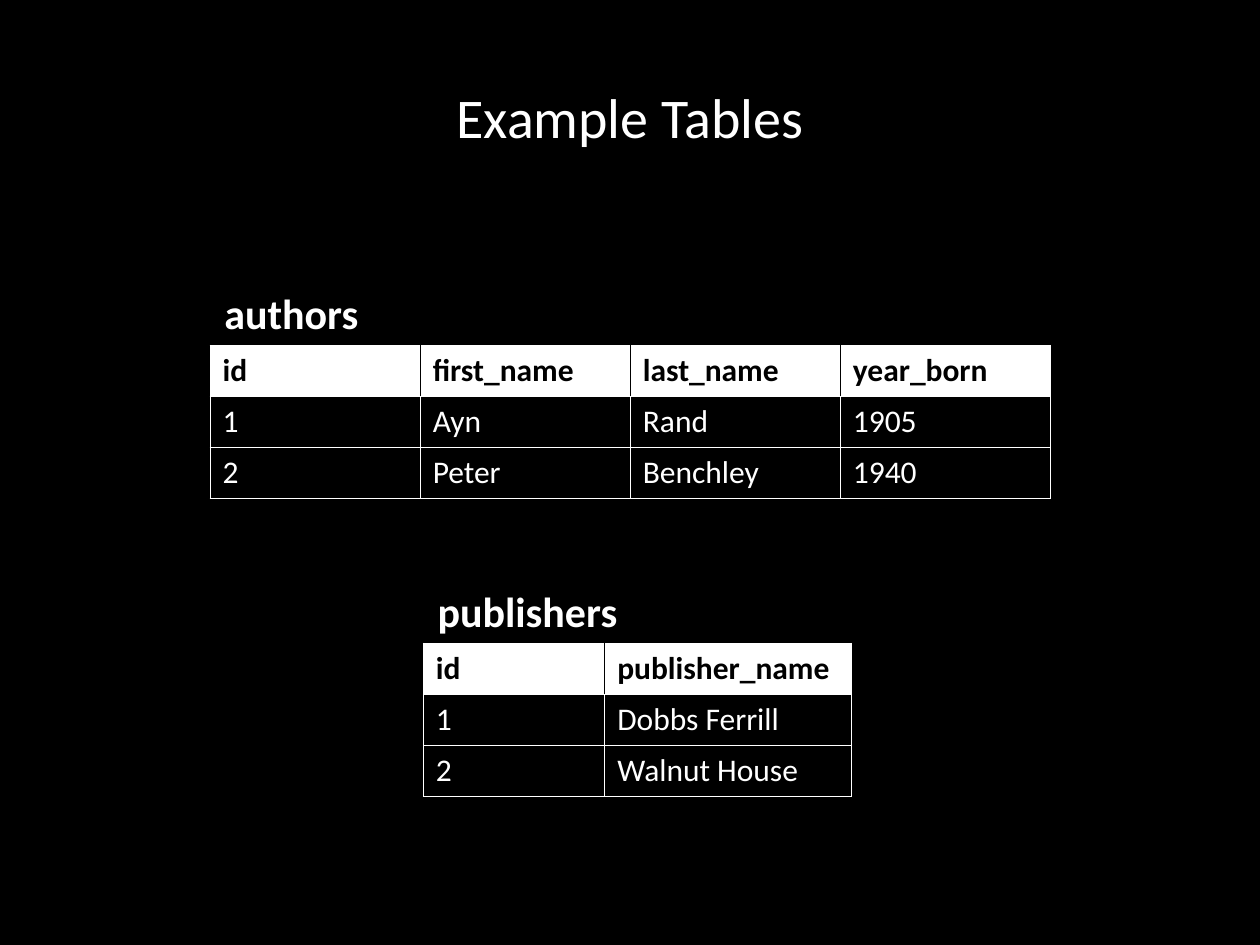
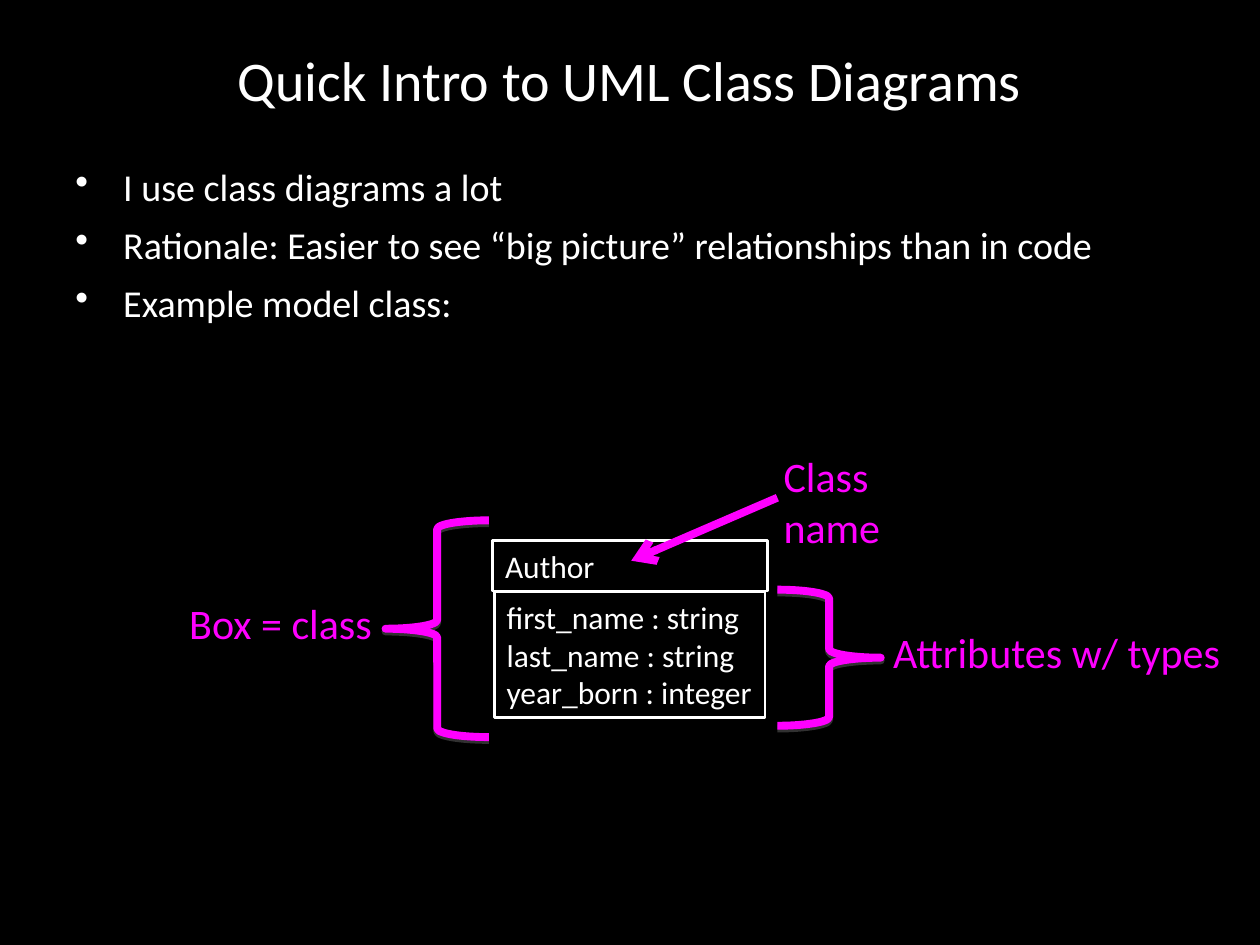
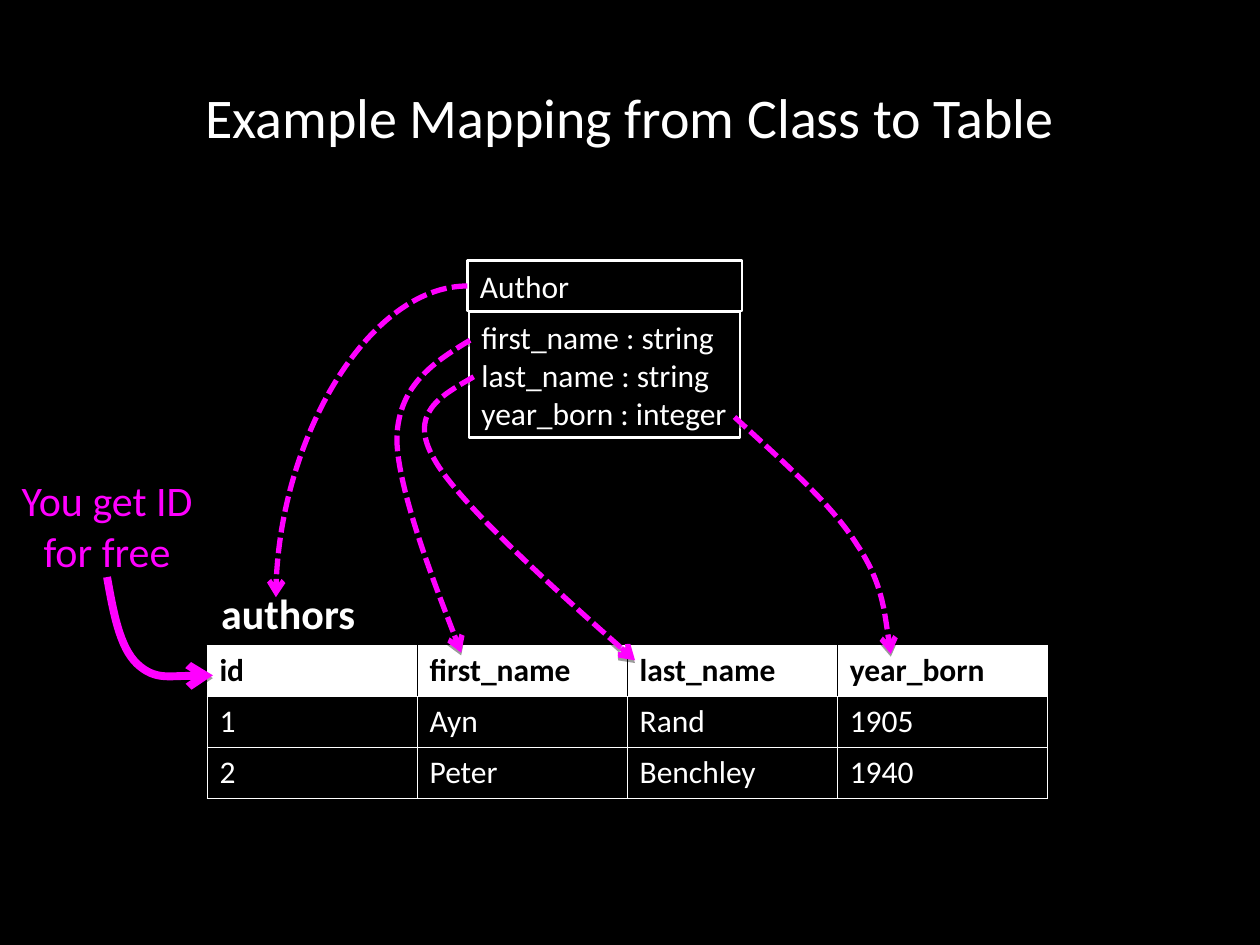
from typing import NamedTuple

from lxml.etree import SubElement
from pptx import Presentation
from pptx.dml.color import RGBColor
from pptx.enum.dml import MSO_LINE
from pptx.enum.shapes import MSO_CONNECTOR, MSO_SHAPE
from pptx.enum.text import MSO_ANCHOR, PP_ALIGN
from pptx.oxml.ns import qn
from pptx.util import Emu, Inches, Pt

BLACK = RGBColor(0x00, 0x00, 0x00)
WHITE = RGBColor(0xFF, 0xFF, 0xFF)
GRAY = RGBColor(0x80, 0x80, 0x80)
MAGENTA = RGBColor(0xFF, 0x00, 0xFF)
FONT = "Calibri"

# The slide is a grid of 40 columns by 30 rows of square cells.
COLUMNS, ROWS = 40, 30
CELL = Inches(0.25)
TABLE_ROW = 1.62

AUTHORS = [
    ["id", "first_name", "last_name", "year_born"],
    ["1", "Ayn", "Rand", "1905"],
    ["2", "Peter", "Benchley", "1940"],
]
PUBLISHERS = [
    ["id", "publisher_name"],
    ["1", "Dobbs Ferrill"],
    ["2", "Walnut House"],
]


class Box(NamedTuple):
    left: float
    top: float
    width: float = 0
    height: float = 0

    def inset(self, left, top, width=0, height=0):
        """Box placed relative to this one's top left corner."""
        return Box(self.left + left, self.top + top, width, height)

    def lengths(self):
        return [grid(value) for value in self]


def grid(cells):
    return Emu(round(cells * CELL))


def style_text(paragraph, size, color, bold=False, align=PP_ALIGN.LEFT):
    paragraph.alignment = align
    for run in paragraph.runs:
        run.font.name = FONT
        run.font.size = Pt(size)
        run.font.bold = bold
        run.font.color.rgb = color


def add_text(slide, box, text, size=24, color=WHITE, bold=False,
             align=PP_ALIGN.LEFT, wrap=False, anchor=MSO_ANCHOR.TOP):
    frame = slide.shapes.add_textbox(*box.lengths()).text_frame
    frame.text = text
    frame.word_wrap = wrap
    frame.vertical_anchor = anchor
    for paragraph in frame.paragraphs:
        style_text(paragraph, size, color, bold, align)
    return frame


def style_line(shape, color, width, dash=None, arrow=False):
    shape.line.color.rgb = color
    shape.line.width = Pt(width)
    if dash:
        shape.line.dash_style = dash
    if arrow:
        line = shape.element.spPr.find(qn("a:ln"))
        SubElement(line, qn("a:tailEnd"), type="arrow")


def add_shadow(shape, color):
    """Cast a hard, translucent shadow just below the shape."""
    shape.shadow.inherit = False
    effects = shape.element.spPr.find(qn("a:effectLst"))
    shadow = SubElement(effects, qn("a:outerShdw"), blurRad="0",
                        dist=str(Pt(1.6)), dir="5400000", rotWithShape="0")
    tint = SubElement(shadow, qn("a:srgbClr"), val=str(color))
    SubElement(tint, qn("a:alpha"), val="38000")


def add_titled_slide(presentation, title, top=1.2):
    slide = presentation.slides.add_slide(presentation.slide_layouts[6])
    slide.background.fill.solid()
    slide.background.fill.fore_color.rgb = BLACK
    add_text(slide, Box(2, top, COLUMNS - 4, 5), title, size=32,
             align=PP_ALIGN.CENTER, wrap=True, anchor=MSO_ANCHOR.MIDDLE)
    return slide


def add_bullets(slide, box, lines):
    frame = add_text(slide, box, "\n".join(lines), size=21.7, wrap=True)
    for index, paragraph in enumerate(frame.paragraphs):
        if index:
            paragraph.space_before = Pt(7)
        properties = paragraph._p.get_or_add_pPr()
        properties.set("marL", str(Inches(0.38)))
        properties.set("indent", str(-Inches(0.38)))
        color = SubElement(properties, qn("a:buClr"))
        SubElement(color, qn("a:srgbClr"), val=str(WHITE))
        SubElement(properties, qn("a:buChar"), char="•")


def border_cell(cell, colors):
    """Draw the left, right, top and bottom borders in the given colours."""
    properties = cell._tc.get_or_add_tcPr()
    for side, color in zip("LRTB", colors):
        line = SubElement(properties, qn(f"a:ln{side}"), w=str(Pt(0.45)))
        fill = SubElement(line, qn("a:solidFill"))
        SubElement(fill, qn("a:srgbClr"), val=str(color))


def add_named_table(slide, box, name, name_width, rows, column_widths):
    """Database table with its bold name above the top left corner."""
    table_box = Box(box.left, box.top, sum(column_widths), TABLE_ROW * len(rows))
    table = slide.shapes.add_table(len(rows), len(column_widths),
                                   *table_box.lengths()).table
    table.first_row = table.horz_banding = False
    for column, width in zip(table.columns, column_widths):
        column.width = grid(width)
    last = len(column_widths) - 1
    for row_index, values in enumerate(rows):
        header = row_index == 0
        table.rows[row_index].height = grid(TABLE_ROW)
        for column_index, value in enumerate(values):
            cell = table.cell(row_index, column_index)
            inner = BLACK if header else WHITE
            border_cell(cell, [inner if column_index > 0 else WHITE,
                               inner if column_index < last else WHITE,
                               WHITE, WHITE])
            if header:
                cell.fill.solid()
                cell.fill.fore_color.rgb = WHITE
            else:
                cell.fill.background()
            cell.text_frame.text = value
            style_text(cell.text_frame.paragraphs[0], 18,
                       BLACK if header else WHITE, header)
    add_text(slide, box.inset(0.06, -2.04, name_width, 2), name, bold=True)


def add_authors_table(slide, box):
    add_named_table(slide, box, "authors", 5.08, AUTHORS, [6.67] * 4)


def add_class_box(slide, box):
    """UML box of the Author class: its name above its attributes."""
    compartments = [
        (box.inset(0.05, 1.62, 8.6, 4),
         "first_name : string\nlast_name : string\nyear_born : integer"),
        (box.inset(0, 0, 8.72, 1.6), "Author"),
    ]
    for compartment, text in compartments:
        rectangle = slide.shapes.add_shape(MSO_SHAPE.RECTANGLE,
                                           *compartment.lengths())
        rectangle.shadow.inherit = False
        rectangle.fill.background()
        style_line(rectangle, WHITE, 1.5)
        frame = rectangle.text_frame
        frame.text = text
        # Wrapping keeps the text at the left edge of the wider compartment.
        frame.word_wrap = True
        frame.vertical_anchor = MSO_ANCHOR.TOP
        for paragraph in frame.paragraphs:
            style_text(paragraph, 18, WHITE)


def add_arrow(slide, kind, start, end, width, dash=None):
    connector = slide.shapes.add_connector(
        kind, *start.lengths()[:2], *end.lengths()[:2])
    style_line(connector, MAGENTA, width, dash, arrow=True)
    SubElement(connector.element.spPr, qn("a:effectLst"))
    return connector


def add_curved_arrow(slide, box, points, width, dash=None):
    """Bezier arrow: a start, then two controls and an end for each curve.

    The last control coincides with the tip, so it is not listed.
    """
    places = [box.inset(*point).lengths()[:2] for point in points]
    places.append(places[-1])
    builder = slide.shapes.build_freeform(*places[0])
    builder.add_line_segments(places[1:], close=False)
    shape = builder.convert_to_shape()
    outline = next(shape.element.iter(qn("a:path")))
    segments = outline.findall(qn("a:lnTo"))
    for first in range(0, len(segments), 3):
        curve = SubElement(outline, qn("a:cubicBezTo"))
        for segment in segments[first:first + 3]:
            curve.append(segment[0])
            outline.remove(segment)
    shape.fill.background()
    style_line(shape, MAGENTA, width, dash, arrow=True)
    add_shadow(shape, BLACK)


def add_class_callouts(slide, box):
    """Braces, labels and an arrow that explain the class box."""
    braces = [(MSO_SHAPE.LEFT_BRACE, box.inset(-3.4, -0.64, 3.28, 6.88)),
              (MSO_SHAPE.RIGHT_BRACE, box.inset(9.04, 1.56, 3.28, 4.32))]
    for kind, place in braces:
        brace = slide.shapes.add_shape(kind, *place.lengths())
        brace.fill.background()
        style_line(brace, MAGENTA, 4.5)
        add_shadow(brace, GRAY)
    labels = [
        ("Box = class", box.inset(-10.04, 1.6, 6.6, 2), PP_ALIGN.RIGHT),
        ("Class name", box.inset(8.84, -3.04, 6.84, 2), PP_ALIGN.LEFT),
        ("Attributes w/ types", box.inset(12.32, 2.52, 11.2, 2), PP_ALIGN.LEFT),
    ]
    for text, place, align in labels:
        add_text(slide, place, text, color=MAGENTA, align=align)
    add_arrow(slide, MSO_CONNECTOR.STRAIGHT, box.inset(9.04, -1.36),
              box.inset(4.4, 0.64), 4.5)


def add_mapping_arrows(slide, box):
    """Dashed arrows from the class box's lines to the table below it."""
    dash = MSO_LINE.SQUARE_DOT
    name_arrow = add_arrow(slide, MSO_CONNECTOR.CURVE, box.inset(0, 0.8),
                           box.inset(-6.08, 10.68), 3, dash)
    geometry = name_arrow.element.spPr.find(qn("a:prstGeom"))
    geometry.set("prst", "curvedConnector2")
    first_name = [(0.08, 2.52), (-1.04, 3.2), (-2.16, 3.92),
                  (-2.24, 5.56), (-2.28, 7.2), (-0.2, 12.44)]
    last_name = [(0.2, 3.68), (-0.84, 4.28), (-1.92, 4.84),
                 (-1.04, 6.32), (-0.2, 7.84), (5.32, 12.68)]
    year_born = [(8.48, 4.96), (10, 6.36), (11.56, 7.72),
                 (12.36, 9), (13.2, 10.24), (13.44, 12.48)]
    for points in (first_name, last_name, year_born):
        add_curved_arrow(slide, box, points, 3, dash)


def add_id_note(slide, box):
    add_text(slide, box, "You get ID for free", color=MAGENTA,
             align=PP_ALIGN.CENTER, wrap=True)
    add_curved_arrow(slide, box, [(3.16, 3.44), (3.36, 4.56), (3.56, 5.68),
                                  (4.12, 6.2), (4.68, 6.72), (6.52, 6.56)], 4.5)


def build_tables_slide(presentation):
    slide = add_titled_slide(presentation, "Example Tables")
    add_authors_table(slide, Box(6.67, 10.96))
    add_named_table(slide, Box(13.44, 20.42), "publishers", 6.52,
                    PUBLISHERS, [5.76, 7.84])


def build_class_diagram_slide(presentation):
    slide = add_titled_slide(presentation, "Quick Intro to UML Class Diagrams",
                             top=0)
    add_bullets(slide, Box(2, 5, COLUMNS - 4, 6.96), [
        "I use class diagrams a lot",
        "Rationale: Easier to see “big picture” relationships than in code",
        "Example model class:",
    ])
    class_box = Box(15.64, 17.16)
    add_class_box(slide, class_box)
    add_class_callouts(slide, class_box)


def build_mapping_slide(presentation):
    slide = add_titled_slide(presentation, "Example Mapping from Class to Table")
    add_authors_table(slide, Box(6.57, 20.48))
    class_box = Box(14.84, 8.28)
    add_class_box(slide, class_box)
    add_mapping_arrows(slide, class_box)
    add_id_note(slide, Box(0.24, 14.88, 6.32, 3.6))


def main():
    presentation = Presentation()
    presentation.slide_width = grid(COLUMNS)
    presentation.slide_height = grid(ROWS)
    build_tables_slide(presentation)
    build_class_diagram_slide(presentation)
    build_mapping_slide(presentation)
    presentation.save("out.pptx")


if __name__ == "__main__":
    main()
